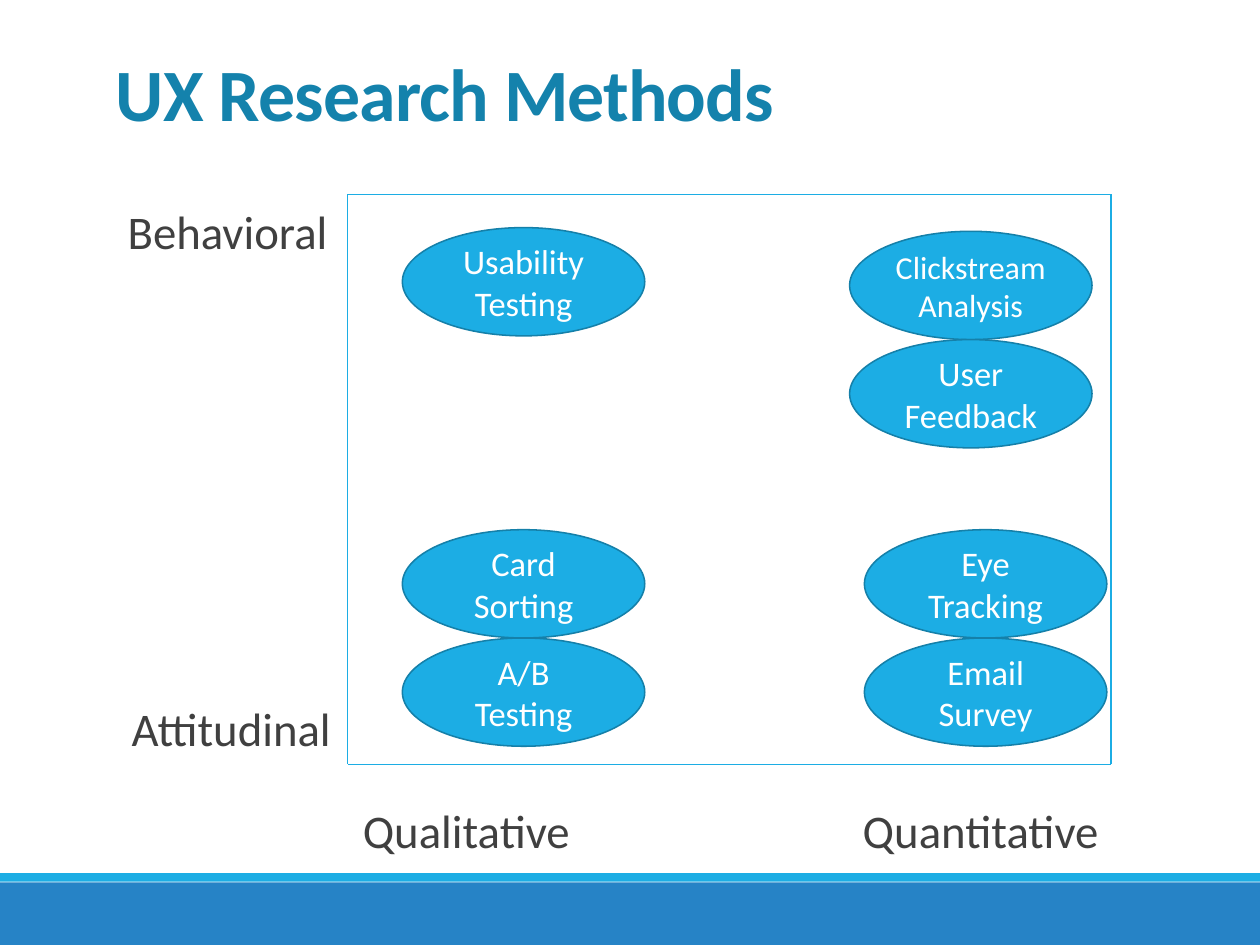
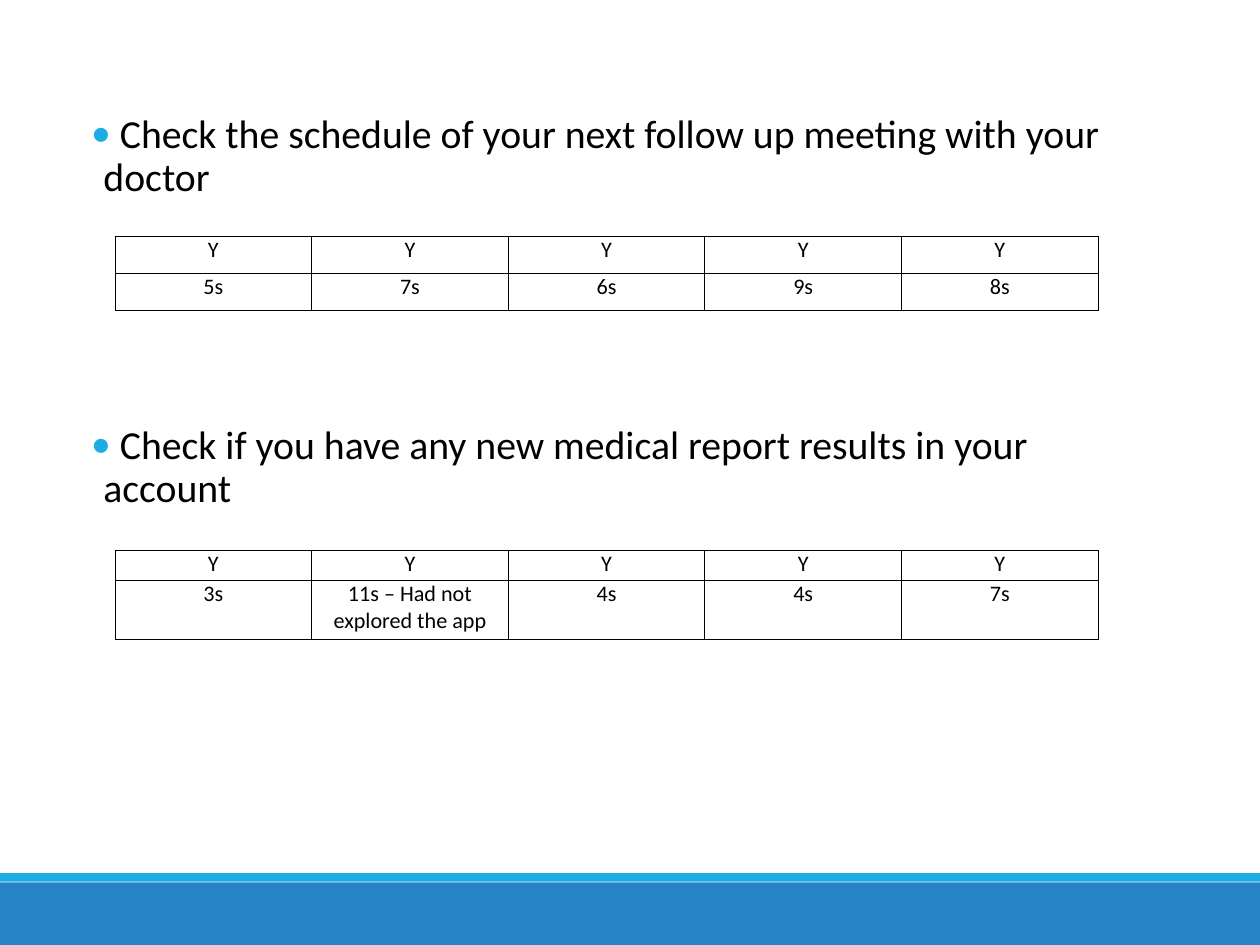
import pptx
import pptx.dml.color
import pptx.enum.shapes
import pptx.enum.text
import pptx.oxml.ns
import pptx.util
from lxml import etree

Pt = pptx.util.Pt
SHAPES = pptx.enum.shapes.MSO_SHAPE
ALIGN = pptx.enum.text.PP_ALIGN
ANCHOR = pptx.enum.text.MSO_ANCHOR
qn = pptx.oxml.ns.qn

SLIDE_WIDTH, SLIDE_HEIGHT = 1024, 768
FONT = "Calibri"
CYAN = "1CADE4"
BLUE = "2683C6"
TITLE_BLUE = "1482AC"
OUTLINE_BLUE = "1580A9"
GRAY = "404040"
BLACK = "000000"
WHITE = "FFFFFF"


def color(value):
    return pptx.dml.color.RGBColor.from_string(value)


def lengths(*values):
    return [Pt(value) for value in values]


def set_font(paragraph, size, font_color, bold=False):
    font = paragraph.font
    font.name = FONT
    font.size = Pt(size)
    font.bold = bold
    font.color.rgb = color(font_color)


def add_shape(slide, kind, box, fill, outline=None):
    shape = slide.shapes.add_shape(kind, *lengths(*box))
    shape.shadow.inherit = False
    shape.fill.solid()
    shape.fill.fore_color.rgb = color(fill)
    if outline:
        shape.line.color.rgb = color(outline)
        shape.line.width = Pt(1.25)
    else:
        shape.line.fill.background()
    return shape


def add_text(slide, box, text):
    frame = slide.shapes.add_textbox(*lengths(*box)).text_frame
    frame.word_wrap = True
    paragraph = frame.paragraphs[0]
    paragraph.text = text
    return paragraph


def add_slide(presentation):
    slide = presentation.slides.add_slide(presentation.slide_layouts[6])
    add_shape(slide, SHAPES.RECTANGLE, (0, 717, SLIDE_WIDTH, 51), BLUE)
    add_shape(slide, SHAPES.RECTANGLE, (0, 709.5, SLIDE_WIDTH, 7), CYAN)
    return slide


def add_title(slide, text):
    paragraph = add_text(slide, (87, 46, 874, 167), text)
    paragraph.line_spacing = 0.85
    set_font(paragraph, 60, TITLE_BLUE, bold=True)
    paragraph.runs[0]._r.get_or_add_rPr().set("spc", "-70")


def add_axis_label(slide, left, top, width, text):
    paragraph = add_text(slide, (left, top, width, 53), text)
    paragraph.alignment = ALIGN.CENTER
    set_font(paragraph, 38, GRAY)


def add_line(slide, start, end):
    connector = slide.shapes.add_connector(
        pptx.enum.shapes.MSO_CONNECTOR.STRAIGHT, *lengths(*start, *end))
    connector.line.color.rgb = color(CYAN)
    connector.line.width = Pt(1)
    etree.SubElement(connector._element.spPr, qn("a:effectLst"))


def add_frame(slide, left, top, right, bottom):
    corners = [(left, top), (right, top), (right, bottom), (left, bottom)]
    for start, end in zip(corners, corners[1:] + corners[:1]):
        add_line(slide, start, end)


def add_method_stack(slide, left, top, methods):
    width, height = 197, 88
    for index, (name, size) in enumerate(methods):
        box = (left, top + index * height, width, height)
        ellipse = add_shape(slide, SHAPES.OVAL, box, CYAN, OUTLINE_BLUE)
        frame = ellipse.text_frame
        frame.word_wrap = True
        frame.vertical_anchor = ANCHOR.MIDDLE
        paragraph = frame.paragraphs[0]
        paragraph.text = name
        paragraph.alignment = ALIGN.CENTER
        set_font(paragraph, size, WHITE)


def add_task(slide, top, text):
    paragraph = add_text(slide, (67, top, 845, 80), " " + text)
    paragraph.line_spacing = 0.9
    properties = paragraph._p.get_or_add_pPr()
    properties.set("marL", str(Pt(10)))
    properties.set("indent", str(Pt(-10)))
    bullet_color = etree.SubElement(properties, qn("a:buClr"))
    etree.SubElement(bullet_color, qn("a:srgbClr"), val=CYAN)
    etree.SubElement(properties, qn("a:buFont"), typeface=FONT)
    etree.SubElement(properties, qn("a:buChar"), char="•")
    set_font(paragraph, 32.3, BLACK)


def add_borders(cell):
    properties = cell._tc.get_or_add_tcPr()
    for side in ("a:lnL", "a:lnR", "a:lnT", "a:lnB"):
        border = etree.SubElement(properties, qn(side), w=str(Pt(1)))
        fill = etree.SubElement(border, qn("a:solidFill"))
        etree.SubElement(fill, qn("a:srgbClr"), val=BLACK)


def fill_cell(cell, text):
    add_borders(cell)
    cell.fill.background()
    cell.margin_left = cell.margin_right = Pt(5)
    cell.margin_top = cell.margin_bottom = Pt(0)
    paragraph = cell.text_frame.paragraphs[0]
    paragraph.text = text
    paragraph.alignment = ALIGN.CENTER
    set_font(paragraph, 18, BLACK)


def add_result_table(slide, top, row_heights, times):
    rows = [["Y"] * len(times), times]
    column_width = 159.8
    box = (93.5, top, column_width * len(times), sum(row_heights))
    table = slide.shapes.add_table(len(rows), len(times), *lengths(*box)).table
    table.first_row = False
    table.horz_banding = False
    for column in table.columns:
        column.width = Pt(column_width)
    for row, height, texts in zip(table.rows, row_heights, rows):
        row.height = Pt(height)
        for cell, text in zip(row.cells, texts):
            fill_cell(cell, text)


def build_methods_slide(presentation):
    slide = add_slide(presentation)
    add_frame(slide, 282.5, 158, 903, 621)
    add_axis_label(slide, 285, 648, 188, "Qualitative")
    add_axis_label(slide, 690.5, 648, 213, "Quantitative")
    add_axis_label(slide, 94, 565, 188, "Attitudinal")
    add_axis_label(slide, 94, 161, 182, "Behavioral")
    add_method_stack(slide, 327, 185, [("Usability Testing", 28)])
    add_method_stack(slide, 327, 430.5, [("Card Sorting", 28), ("A/B Testing", 28)])
    add_method_stack(slide, 690.5, 188, [("Clickstream Analysis", 26), ("User Feedback", 28)])
    add_method_stack(slide, 702.5, 430.5, [("Eye Tracking", 28), ("Email Survey", 28)])
    add_title(slide, "UX Research Methods")


def build_results_slide(presentation):
    slide = add_slide(presentation)
    add_task(slide, 89, "Check the schedule of your next follow up meeting with your doctor")
    add_result_table(slide, 192, [30, 30], ["5s", "7s", "6s", "9s", "8s"])
    add_task(slide, 342, "Check if you have any new medical report results in your account")
    add_result_table(slide, 447.5, [24, 48],
                     ["3s", "11s – Had not explored the app", "4s", "4s", "7s"])


def main():
    presentation = pptx.Presentation()
    presentation.slide_width = Pt(SLIDE_WIDTH)
    presentation.slide_height = Pt(SLIDE_HEIGHT)
    build_methods_slide(presentation)
    build_results_slide(presentation)
    presentation.save("out.pptx")


if __name__ == "__main__":
    main()
